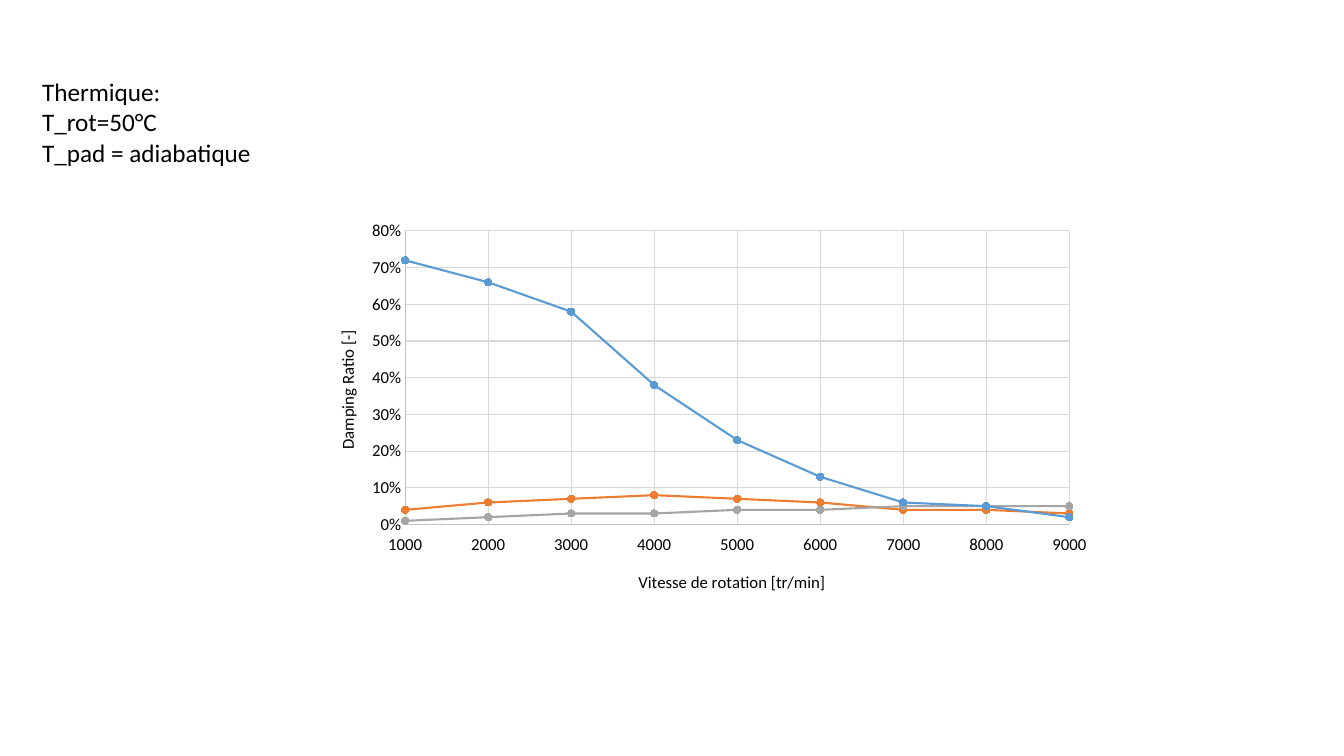
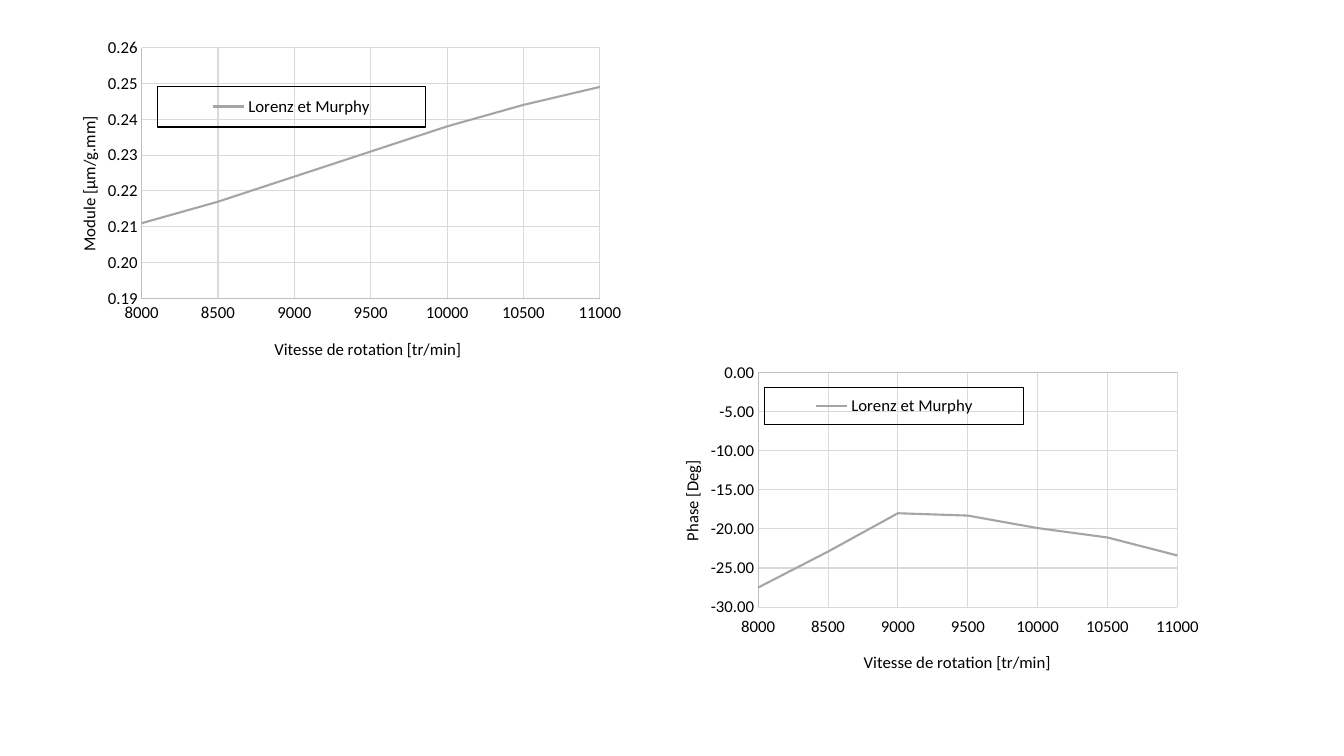
"""Builds two slides of rotor results: damping ratio, then response module and phase."""
from lxml import etree
from pptx import Presentation
from pptx import util as u
from pptx.chart.data import XyChartData
from pptx.dml.color import RGBColor
from pptx.enum import chart as charts
from pptx.oxml.ns import qn

BLACK = RGBColor(0x00, 0x00, 0x00)
BLUE = RGBColor(0x5B, 0x9B, 0xD5)
GRAY = RGBColor(0xA5, 0xA5, 0xA5)
ORANGE = RGBColor(0xED, 0x7D, 0x31)
AXIS = RGBColor(0xBF, 0xBF, 0xBF)
GRID = RGBColor(0xD9, 0xD9, 0xD9)

CHART_FONT = {"name": "Calibri", "size": u.Pt(12), "bold": False}
NOTE_FONT = {"name": "Calibri", "size": u.Pt(18)}
SPEED_TITLE = "Vitesse de rotation [tr/min]"
METHOD = "Lorenz et Murphy"

NOTE = ["Thermique:", "T_rot=50°C", "T_pad = adiabatique"]
NOTE_BOX = (0.81, 1.8, 5.84, 2.57)

DAMPING = {
    "box": (7.77, 5.36, 20, 10),
    "speeds": (1000, 9000, 1000),
    "scale": (0, 0.8, 0.1),
    "format": "0%",
    "title": "Damping Ratio [-]",
    "series": [
        ("Series 1", BLUE, [0.72, 0.66, 0.58, 0.38, 0.23, 0.13, 0.06, 0.05, 0.02]),
        ("Series 2", GRAY, [0.01, 0.02, 0.03, 0.03, 0.04, 0.04, 0.05, 0.05, 0.05]),
        ("Series 3", ORANGE, [0.04, 0.06, 0.07, 0.08, 0.07, 0.06, 0.04, 0.04, 0.03]),
    ],
    "markers": True,
    "low_labels": True,
    "plot": (12.2, 4.6, 83.7, 74),
    "speed_title_at": (41.2, 89.4),
    "value_title_at": (3.1, 28.8),
}
MODULE = {
    "box": (1.5, 0.56, 14.58, 8.74),
    "speeds": (8000, 11000, 500),
    "scale": (0.19, 0.26, 0.01),
    "format": "0.00",
    "title": "Module [µm/g.mm]",
    "series": [(METHOD, GRAY, [0.211, 0.217, 0.224, 0.231, 0.238, 0.244, 0.249])],
    "markers": False,
    "low_labels": False,
    "plot": (14.2, 7.3, 79.2, 72.4),
    "speed_title_at": (36.6, 90.2),
    "value_title_at": (2.6, 26.2),
    "legend": (16.9, 18.4, 46.3, 11.8),
}
PHASE = {
    "box": (16.84, 8.79, 13.74, 8.28),
    "speeds": (8000, 11000, 500),
    "scale": (-30, 0, 5),
    "format": "0.00",
    "title": "Phase [Deg]",
    "series": [(METHOD, GRAY, [-27.5, -22.9, -18, -18.3, -19.9, -21.1, -23.4])],
    "markers": False,
    "low_labels": True,
    "plot": (16.5, 7.3, 76.9, 72.5),
    "speed_title_at": (35.3, 92.3),
    "value_title_at": (1.7, 33.8),
    "legend": (17.7, 11.9, 47.5, 11.6),
}
SLIDES = [
    {"note": NOTE, "charts": [DAMPING]},
    {"note": [], "charts": [MODULE, PHASE]},
]


def set_font(font, values):
    for name, value in values.items():
        setattr(font, name, value)
    font.color.rgb = BLACK


def set_line(line, color, width):
    line.color.rgb = color
    line.width = u.Pt(width)


def place(element, index, percents, inner=False):
    for old in element.findall(qn("c:layout")):
        element.remove(old)
    layout = etree.Element(qn("c:layout"))
    manual = etree.SubElement(layout, qn("c:manualLayout"))
    settings = [("layoutTarget", "inner")] if inner else []
    settings += [("xMode", "edge"), ("yMode", "edge")]
    settings += [(side, str(round(percent / 100, 3))) for side, percent in zip("xywh", percents)]
    for tag, value in settings:
        etree.SubElement(manual, qn("c:" + tag)).set("val", value)
    element.insert(index, layout)


def style_axis(axis, title, title_at, scale, number_format):
    axis.minimum_scale, axis.maximum_scale, axis.major_unit = scale
    axis.major_tick_mark = axis.minor_tick_mark = charts.XL_TICK_MARK.NONE
    axis.has_major_gridlines = True
    set_line(axis.major_gridlines.format.line, GRID, 0.75)
    set_line(axis.format.line, AXIS, 0.75)
    set_font(axis.tick_labels.font, CHART_FONT)
    axis.tick_labels.number_format = number_format
    axis.tick_labels.number_format_is_linked = False
    frame = axis.axis_title.text_frame
    frame.text = title
    set_font(frame.paragraphs[0].runs[0].font, CHART_FONT)
    place(axis.axis_title.element, 1, title_at)


def style_series(series, color, markers):
    series.smooth = True
    set_line(series.format.line, color, 1.5)
    if not markers:
        series.marker.style = charts.XL_MARKER_STYLE.NONE
        return
    series.marker.style = charts.XL_MARKER_STYLE.CIRCLE
    series.marker.size = 5
    series.marker.format.fill.solid()
    series.marker.format.fill.fore_color.rgb = color
    set_line(series.marker.format.line, color, 0.75)


def add_legend(chart, percents):
    chart.has_legend = True
    chart.legend.position = charts.XL_LEGEND_POSITION.RIGHT
    chart.legend.include_in_layout = False
    set_font(chart.legend.font, CHART_FONT)
    legend = chart.element.find(".//" + qn("c:legend"))
    place(legend, 1, percents)
    border = etree.Element(qn("c:spPr"))
    line = etree.SubElement(border, qn("a:ln"), w=str(u.Pt(0.75)))
    fill = etree.SubElement(line, qn("a:solidFill"))
    etree.SubElement(fill, qn("a:srgbClr"), val=str(BLACK))
    legend.find(qn("c:overlay")).addnext(border)


def add_curves(slide, curves):
    first, last, step = curves["speeds"]
    data = XyChartData()
    for name, _, values in curves["series"]:
        points = data.add_series(name)
        for speed, value in zip(range(first, last + 1, step), values):
            points.add_data_point(speed, value)
    kind = charts.XL_CHART_TYPE.XY_SCATTER_SMOOTH
    if not curves["markers"]:
        kind = charts.XL_CHART_TYPE.XY_SCATTER_SMOOTH_NO_MARKERS
    chart = slide.shapes.add_chart(kind, *map(u.Cm, curves["box"]), data).chart
    chart.has_title = chart.has_legend = False
    set_font(chart.font, CHART_FONT)
    plot = chart.plots[0]
    plot.vary_by_categories = False
    for series, (_, color, _) in zip(plot.series, curves["series"]):
        style_series(series, color, curves["markers"])
    speed_axis, value_axis = chart.category_axis, chart.value_axis
    style_axis(speed_axis, SPEED_TITLE, curves["speed_title_at"], curves["speeds"], "General")
    style_axis(value_axis, curves["title"], curves["value_title_at"], curves["scale"], curves["format"])
    value_axis.axis_title.element.find(".//" + qn("a:bodyPr")).set("rot", "-5400000")
    if curves["low_labels"]:
        speed_axis.tick_label_position = charts.XL_TICK_LABEL_POSITION.LOW
    place(chart.element.find(".//" + qn("c:plotArea")), 0, curves["plot"], inner=True)
    if "legend" in curves:
        add_legend(chart, curves["legend"])


def add_note(slide, lines):
    frame = slide.shapes.add_textbox(*map(u.Cm, NOTE_BOX)).text_frame
    frame.word_wrap = False
    frame.text = "\n".join(lines)
    for paragraph in frame.paragraphs:
        set_font(paragraph.runs[0].font, NOTE_FONT)


def main():
    presentation = Presentation()
    presentation.slide_width, presentation.slide_height = u.Cm(33.87), u.Cm(19.05)
    for content in SLIDES:
        slide = presentation.slides.add_slide(presentation.slide_layouts[6])
        if content["note"]:
            add_note(slide, content["note"])
        for curves in content["charts"]:
            add_curves(slide, curves)
    presentation.save("out.pptx")


if __name__ == "__main__":
    main()
